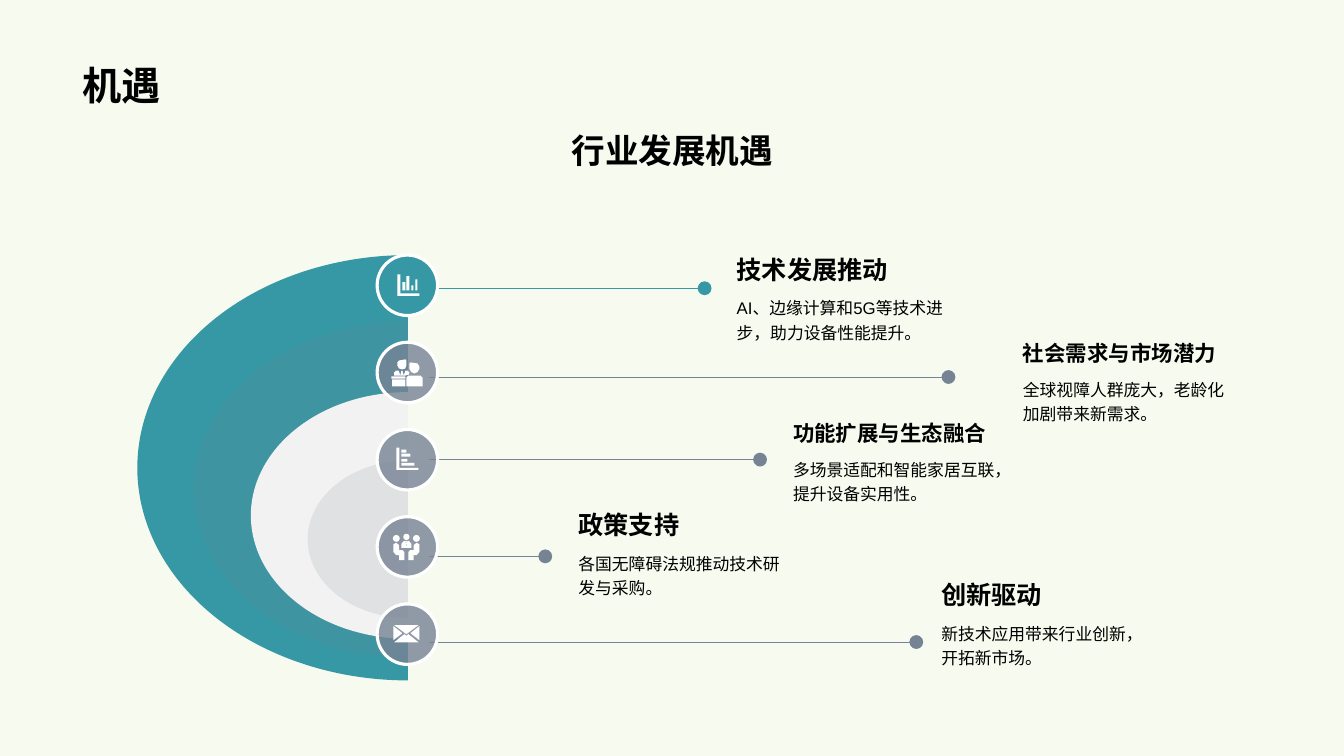
from math import cos, pi, sin

from lxml.etree import SubElement
from pptx import Presentation
from pptx.dml.color import RGBColor
from pptx.enum.shapes import MSO_CONNECTOR, MSO_SHAPE
from pptx.enum.text import MSO_ANCHOR, PP_ALIGN
from pptx.oxml.ns import qn
from pptx.util import Pt

BACKGROUND = RGBColor(0xF6, 0xFA, 0xEF)
TEAL = RGBColor(0x36, 0x98, 0xA4)
SLATE = RGBColor(0x76, 0x83, 0x94)
PALE = RGBColor(0xF2, 0xF2, 0xF2)
WHITE = RGBColor(0xFF, 0xFF, 0xFF)
BLACK = RGBColor(0, 0, 0)
FONT = "Arial"


# Icon outlines, in points from the centre of each badge
def rect(l, t, r, b):
    return [(l, t), (r, t), (r, b), (l, b)]


def disc(x, y, radius, n=24):
    return [(x + radius * cos(2 * pi * i / n), y + radius * sin(2 * pi * i / n))
            for i in range(n)]


def mirror(points, axis):
    return [(2 * axis - x, y) for x, y in points]


SEATED = [(-10, -2), (-8, -2.9), (-6, -1.5), (-5.8, 2.2), (-3.6, 2.2), (-2.2, 3.6),
          (-2.2, 9.4), (-5.8, 9.4), (-5.8, 5.8), (-8, 5.8), (-10, 3.6)]
ENVELOPE_SIDE = [(-10, -5.8), (-3.6, -0.7), (-10, 4.3)]

COLUMN_CHART = [
    rect(-3.6, -2.2, -1.4, 3.6), rect(-0.7, -6.5, 1.4, 3.6),
    rect(2.9, 0, 4.3, 3.6), rect(5.8, -4.3, 7.2, 3.6),
    [(-7.2, -7.9), (-5, -7.9), (-5, 5.8), (8.6, 5.8), (8.6, 7.6), (-7.2, 7.6)],
]
CONSULTATION = [
    rect(-10.8, 5, -1.4, 10), rect(-11.5, 2.7, -1.4, 4.3),
    [(-9.4, 2.2), (-9.4, 0), (-8, -1.4), (-6.3, -1.4), (-5, 2), (-4.3, -1.4),
     (-3.6, -1.4), (-2.6, 2), (-1.4, -1.4), (0, -1.4), (1.4, 0), (1.2, 1.4), (-1.4, 2.2)],
    [(-7.2, -7.2), (-5.8, -8.6), (-1.4, -9.4), (-0.7, -8.6), (-0.7, -5),
     (-1.6, -2.8), (-3.6, -2.2), (-6, -2.9), (-7.2, -5)],
    [(1.4, -6.5), (2.2, -7.2), (7.2, -6.5), (8.6, -4.3), (8.6, -2.9),
     (7.4, -0.4), (5, 0.7), (2.6, -0.4), (1.4, -2.9)],
    [(-0.7, 10), (-0.7, 3.6), (0.7, 2.2), (9.4, 2.2), (10.8, 3.6), (10.8, 10)],
]
BAR_CHART = [
    rect(-4.3, -7.2, -0.7, -5), rect(-4.3, -4.3, 2.2, -2.2),
    rect(-4.3, -0.7, 0, 1.4), rect(-4.3, 2.2, 5, 4.3),
    [(-7.9, -8.6), (-5.8, -8.6), (-5.8, 5.8), (7.9, 5.8), (7.9, 7.2), (-7.9, 7.2)],
]
MEETING = [
    disc(-0.7, -7.2, 2.2), disc(-7.9, -6.1, 2.4), disc(6.5, -6.1, 2.4),
    SEATED, mirror(SEATED, -0.7),
    [(-4.3, 0.7), (-4.3, -2.2), (-2.5, -4.3), (-1.4, -4.3), (-0.7, 0),
     (0, -4.3), (1.1, -4.3), (2.9, -2.2), (2.9, 0.7)],
    [(-1.1, -4.3), (-0.3, -4.3), (-0.7, -1.5)],
]
ENVELOPE = [
    ENVELOPE_SIDE, mirror(ENVELOPE_SIDE, -0.7),
    [(-9.4, -6.5), (8, -6.5), (-0.7, 0)],
    [(-9.4, 5.8), (-2.2, 0), (-0.7, 1.1), (0.8, 0), (8, 5.8)],
]

# heading, size, body, text left, text top, text width, line y, line end, icon
OPPORTUNITIES = [
    ("技术发展推动", 18, "AI、边缘计算和5G等技术进步，助力设备性能提升。",
     519.1, 177.1, 167, 205.9, 503.3, COLUMN_CHART),
    ("社会需求与市场潜力", 15.3, "全球视障人群庞大，老龄化加剧带来新需求。",
     723.6, 235.4, 160, 269.3, 677.5, CONSULTATION),
    ("功能扩展与生态融合", 15.3, "多场景适配和智能家居互联，提升设备实用性。",
     559.4, 292.3, 160, 328.3, 542.9, BAR_CHART),
    ("政策支持", 18, "各国无障碍法规推动技术研发与采购。",
     406.1, 359.3, 160, 397.4, 389.5, MEETING),
    ("创新驱动", 18, "新技术应用带来行业创新，开拓新市场。",
     665.3, 409.7, 160, 458.6, 654.5, ENVELOPE),
]
# top, colour, opacity in percent
HALF_DISCS = [(182.2, TEAL, 100), (229.7, SLATE, 15), (280.1, PALE, 100), (329, SLATE, 15)]
AXIS_X, LINE_START = 291.4, 306.7
BADGE_X, BADGE_Y, BADGE_STEP, BADGE = 291, 203.8, 62.3, 43.2
HEADING_H, BODY_H = 29.5, 44.6

prs = Presentation()
prs.slide_width, prs.slide_height = Pt(960), Pt(540)
s = prs.slides.add_slide(prs.slide_layouts[6])
s.background.fill.solid()
s.background.fill.fore_color.rgb = BACKGROUND


def paint(sp, color, opacity=100, outline=None):
    sp.shadow.inherit = False
    sp.fill.solid()
    sp.fill.fore_color.rgb = color
    if opacity < 100:
        clr = sp._element.spPr.find(".//" + qn("a:srgbClr"))
        SubElement(clr, qn("a:alpha"), val=str(opacity * 1000))
    if outline:
        sp.line.color.rgb, sp.line.width = outline, Pt(2.25)
    else:
        sp.line.fill.background()


def add_text(text, x, y, w, h, size, bold=True, anchor=MSO_ANCHOR.TOP, **paragraph):
    tf = s.shapes.add_textbox(Pt(x), Pt(y), Pt(w), Pt(h)).text_frame
    tf.word_wrap, tf.vertical_anchor = True, anchor
    p = tf.paragraphs[0]
    for key, value in paragraph.items():
        setattr(p, key, value)
    r = p.add_run()
    r.text = text
    for key, value in {"name": FONT, "size": Pt(size), "bold": bold}.items():
        setattr(r.font, key, value)
    r.font.color.rgb = BLACK


def add_leader(y, end, color):
    line = s.shapes.add_connector(MSO_CONNECTOR.STRAIGHT, Pt(LINE_START), Pt(y), Pt(end), Pt(y))
    line.line.color.rgb, line.line.width = color, Pt(0.5)
    SubElement(line.line._get_or_add_ln(), qn("a:tailEnd"), type="oval", w="lg", len="lg")
    SubElement(line._element.spPr, qn("a:effectLst"))


def add_icon(outlines, x, y):
    scaled = [[(px * 100, py * 100) for px, py in outline] for outline in outlines]
    builder = s.shapes.build_freeform(*scaled[0][0], scale=Pt(0.01))
    for i, outline in enumerate(scaled):
        if i:
            builder.move_to(*outline[0])
        builder.add_line_segments(outline[1:], close=True)
    paint(builder.convert_to_shape(Pt(x), Pt(y)), WHITE)


# Titles
add_text("机遇", 51.8, 10.1, 855.4, 70.6, 28, anchor=MSO_ANCHOR.BOTTOM)
add_text("行业发展机遇", 53.3, 89.3, 853.9, 68.4, 24, alignment=PP_ALIGN.CENTER)

# Nested half discs
for i, (top, color, opacity) in enumerate(HALF_DISCS):
    w, h = 386.6 - 81.1 * i, 303.8 - 63.8 * i
    sp = s.shapes.add_shape(MSO_SHAPE.PIE, Pt(AXIS_X - w / 2), Pt(top), Pt(w), Pt(h))
    sp.adjustments[0], sp.adjustments[1] = 54, 162
    paint(sp, color, opacity)

# Leader, badge, icon and text of each opportunity
for i, (heading, size, body, x, y, w, line_y, line_end, icon) in enumerate(OPPORTUNITIES):
    color, opacity = (SLATE, 80) if i else (TEAL, 100)
    cy = BADGE_Y + BADGE_STEP * i
    add_leader(line_y, line_end, color)
    badge = s.shapes.add_shape(MSO_SHAPE.OVAL, Pt(BADGE_X - BADGE / 2), Pt(cy - BADGE / 2),
                               Pt(BADGE), Pt(BADGE))
    paint(badge, color, opacity, WHITE)
    add_icon(icon, BADGE_X, cy)
    add_text(heading, x, y, w, HEADING_H, size, anchor=MSO_ANCHOR.BOTTOM)
    add_text(body, x, y + HEADING_H, w, BODY_H, 12, bold=False, line_spacing=1.2)

prs.save("out.pptx")
